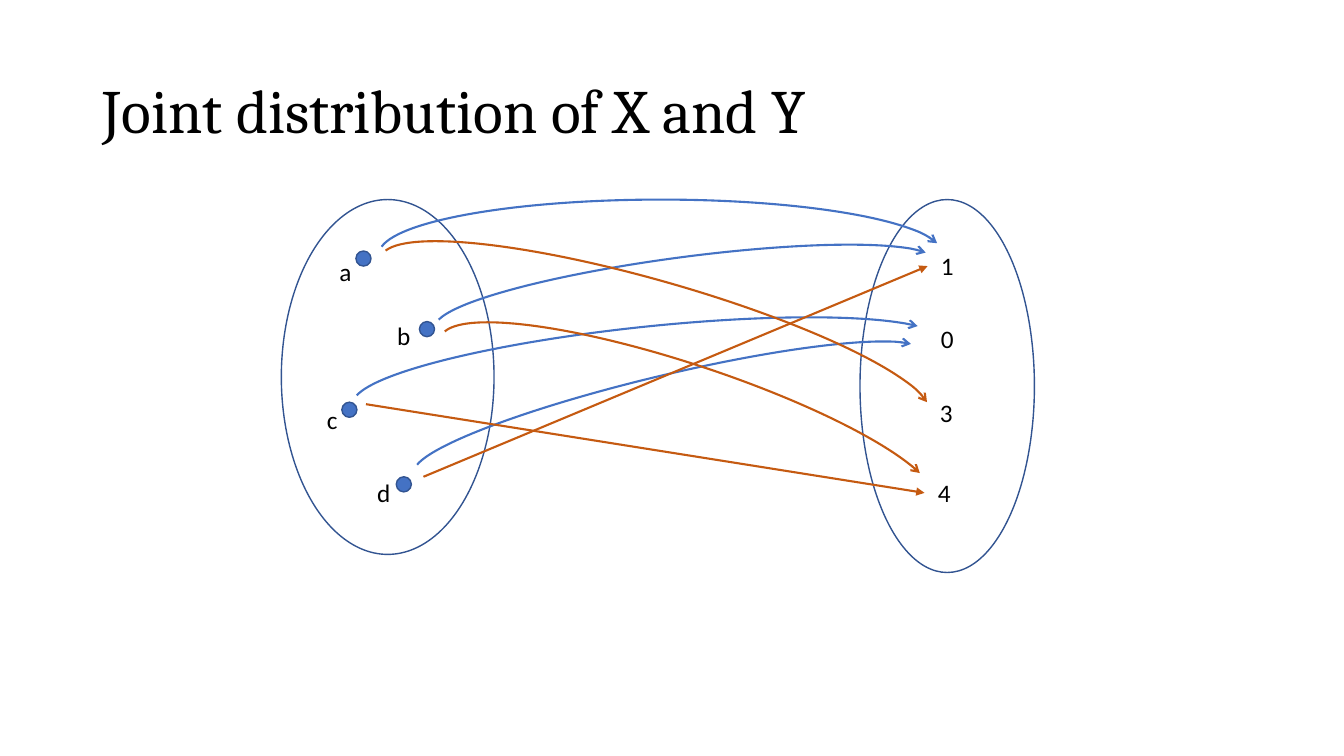
from lxml import etree
from pptx import Presentation
from pptx.dml.color import RGBColor
from pptx.enum import shapes, text
from pptx.oxml import ns
from pptx import util as u

HUES = {"ink": "000000", "rim": "325491", "blue": "4472C4", "rust": "C55A11"}
RGB = {name: RGBColor.from_string(code) for name, code in HUES.items()}
KIND = shapes.MSO_SHAPE

deck = Presentation()
deck.slide_width, deck.slide_height = u.Inches(13.33), u.Inches(7.5)
cell = deck.slide_height / 75  # the slide is a grid of 75 rows


def grid(*counts):
    return [round(n * cell) for n in counts]


def stroke(item, hue, width, tip=None):
    """Set the line of a shape or connector, with an arrowhead if tip is named."""
    item.line.color.rgb = RGB[hue]
    item.line.width = u.Pt(width)
    if tip:
        etree.SubElement(item.line._get_or_add_ln(), ns.qn("a:tailEnd"), type=tip)


slide = deck.slides.add_slide(deck.slide_layouts[5])
title = slide.shapes.title
title.left, title.top, title.width, title.height = grid(9.2, 4, 115, 14.5)
title.text_frame.text = "Joint distribution of X and Y"
title.text_frame.vertical_anchor = text.MSO_ANCHOR.MIDDLE
title.text_frame.auto_size = text.MSO_AUTO_SIZE.NONE
head = title.text_frame.paragraphs[0]
head.alignment = text.PP_ALIGN.LEFT
head.line_spacing = 0.9
head.font.name, head.font.size = "Cambria", u.Pt(44)
head.font.color.rgb = RGB["ink"]

# Domain and range
for spot in [(27.9, 19.8, 21.1, 35.2), (85.3, 19.8, 17.3, 37)]:
    oval = slide.shapes.add_shape(KIND.OVAL, *grid(*spot))
    oval.shadow.inherit = False
    oval.fill.background()
    stroke(oval, "rim", 1)

# Label, its corner, and the corner of its dot
marks = [
    ("a", (32.3, 24.9), (35.3, 24.9)),
    ("b", (38.1, 31.3), (41.6, 31.9)),
    ("c", (31, 39.6), (33.9, 39.9)),
    ("d", (36.1, 46.9), (39.3, 47.3)),
    ("1", (92, 24.3), None),
    ("0", (92, 31.6), None),
    ("3", (91.9, 38.9), None),
    ("4", (91.7, 46.9), None),
]
for word, spot, point in marks:
    home = slide.shapes
    if point:
        home = slide.shapes.add_group_shape().shapes
        dot = home.add_shape(KIND.OVAL, *grid(*point, 1.5, 1.5))
        dot.shadow.inherit = False
        dot.fill.solid()
        dot.fill.fore_color.rgb = RGB["blue"]
        stroke(dot, "rim", 1)
    frame = home.add_textbox(*grid(*spot, 3.9, 4)).text_frame
    frame.word_wrap = True
    frame.auto_size = text.MSO_AUTO_SIZE.SHAPE_TO_FIT_TEXT
    frame.text = word
    line = frame.paragraphs[0]
    line.alignment = text.PP_ALIGN.CENTER
    line.font.name, line.font.size = "Calibri", u.Pt(18)
    line.font.color.rgb = RGB["ink"]

# Curved arrows: colour, box, turn in degrees, end of the arc
curves = [
    ("blue", (37.6, 19.8, 55.9, 10.8), 0, 214.66),
    ("blue", (43, 25.5, 50, 7.3), 352.5, 214.66),
    ("blue", (34.9, 32.4, 58.8, 9.1), 354, 213.74),
    ("blue", (40.4, 37.2, 51.8, 7.3), 346.6, 214.66),
    ("rust", (36.7, 27.9, 56.6, 10.8), 16, 214.66),
    ("rust", (42.4, 36.2, 51.6, 10.8), 18.4, 212.78),
]
for hue, spot, turn, end in curves:
    arc = slide.shapes.add_shape(KIND.ARC, *grid(*spot))
    arc.adjustments[0], arc.adjustments[1] = 108.9, end
    arc.rotation = turn
    arc.shadow.inherit = False
    arc.fill.background()
    stroke(arc, hue, 1.5, "arrow")

# Straight arrows
for ends in [(42, 47.3, 92, 26.4), (36.3, 40.1, 91.7, 48.9)]:
    ray = slide.shapes.add_connector(shapes.MSO_CONNECTOR.STRAIGHT, *grid(*ends))
    stroke(ray, "rust", 1.5, "triangle")
    etree.SubElement(ray._element.spPr, ns.qn("a:effectLst"))

deck.save("out.pptx")
